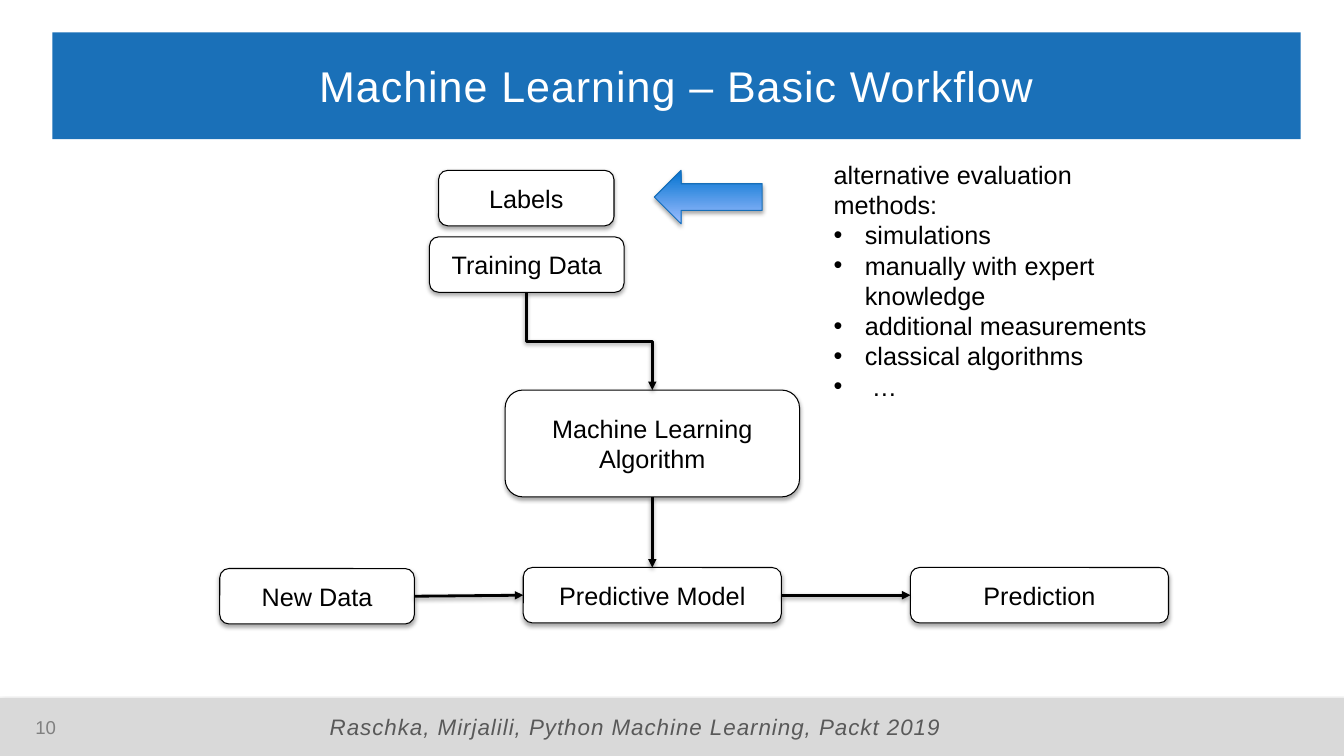
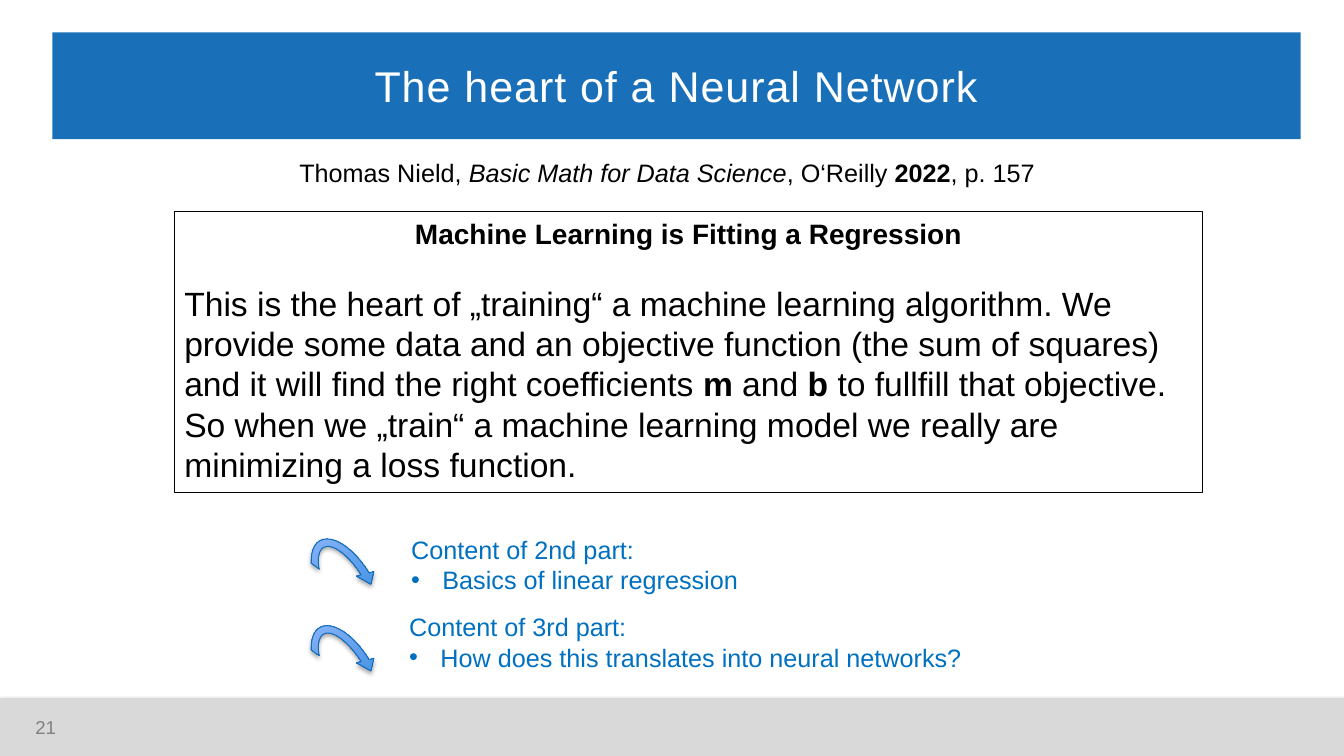
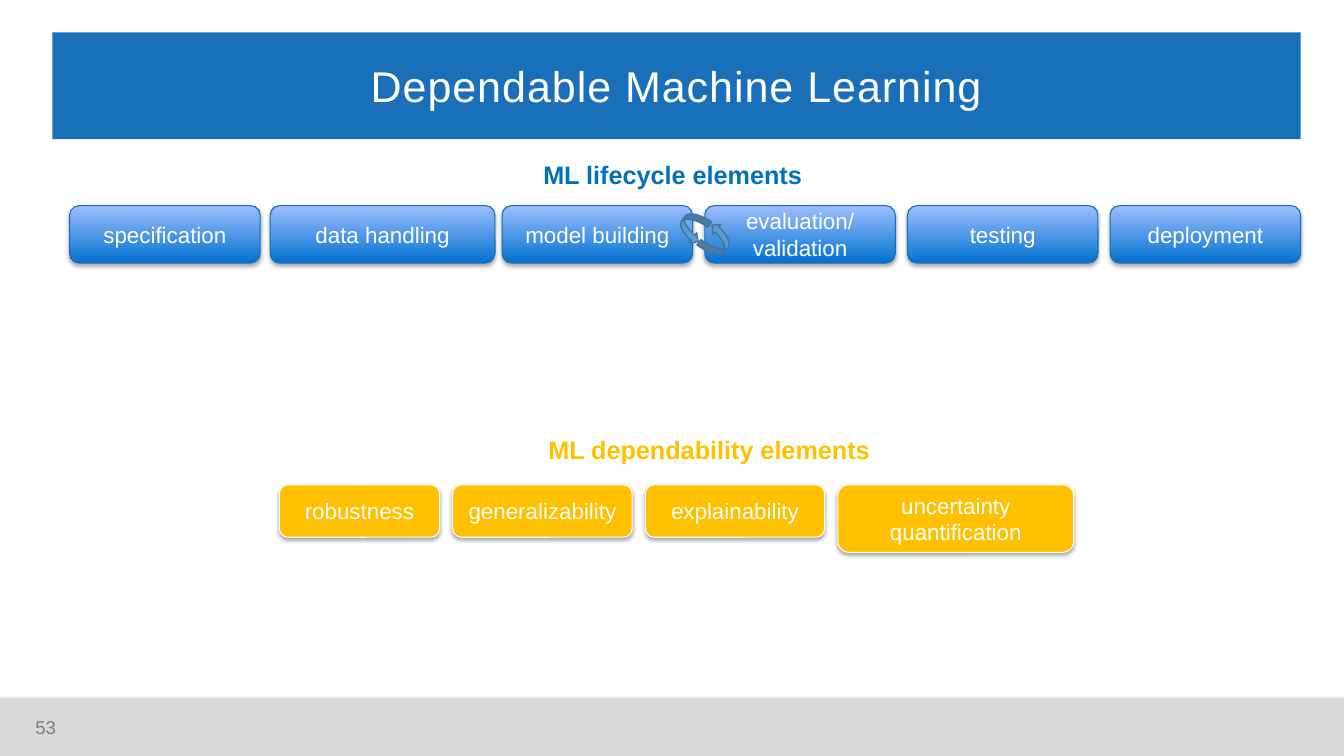
from dataclasses import dataclass
from typing import Optional

from lxml.etree import SubElement
from pptx import Presentation
from pptx.dml.color import RGBColor
from pptx.enum.shapes import MSO_CONNECTOR, MSO_SHAPE
from pptx.enum.text import MSO_ANCHOR, MSO_AUTO_SIZE, PP_ALIGN
from pptx.oxml.ns import qn
from pptx.util import Inches, Pt

FONT = "Arial"
BLACK, WHITE = "000000", "FFFFFF"
TITLE_BLUE, TEXT_BLUE, EDGE_BLUE = "1A70B8", "0070C0", "166EB8"
GRADIENT = ("0272D0", "9DBEFF")
AMBER = "FFC000"
BAND_GREY, NUMBER_GREY, SOURCE_GREY = "D9D9D9", "808080", "595959"
CYCLE_FILL, CYCLE_EDGE = "5B9BD5", "43739E"
TOP, LEFT, BOTTOM, RIGHT = range(4)  # connection sites of a box


@dataclass
class Para:
    """Text as (words, style) spans, where style may hold b and i."""
    spans: list
    bullet: bool = False
    align: Optional[PP_ALIGN] = None
    size: Optional[float] = None
    before: float = 0


def plain(text, **options):
    return Para([(text, "")], **options)


def rgb(code):
    return RGBColor.from_string(code)


def inches(values):
    return [Inches(value) for value in values]


def add_bullet(para):
    properties = para._p.get_or_add_pPr()
    properties.set("marL", str(Inches(0.31)))
    properties.set("indent", str(-Inches(0.31)))
    SubElement(properties, qn("a:buFont"), typeface=FONT)
    SubElement(properties, qn("a:buChar"), char="•")


def write(frame, paras, size, color, spacing=0):
    """Fill a text frame; spacing is the letter spacing in points."""
    frame.word_wrap = True
    for index, content in enumerate(paras):
        para = frame.add_paragraph() if index else frame.paragraphs[0]
        if content.bullet:
            add_bullet(para)
        if content.align is not None:
            para.alignment = content.align
        if content.before:
            para.space_before = Pt(content.before)
        for text, style in content.spans:
            span = para.add_run()
            span.text = text
            font = span.font
            font.name, font.size = FONT, Pt(content.size or size)
            font.color.rgb = rgb(color)
            font.bold, font.italic = "b" in style, "i" in style
            if spacing:
                span._r.get_or_add_rPr().set("spc", str(int(spacing * 100)))


def set_margins(frame, side, end):
    frame.margin_left = frame.margin_right = Inches(side)
    frame.margin_top = frame.margin_bottom = Inches(end)


def add_text(slide, place, paras, size=18, color=BLACK, anchor=MSO_ANCHOR.TOP,
             inset=True, spacing=0):
    box = slide.shapes.add_textbox(*inches(place))
    frame = box.text_frame
    frame.vertical_anchor = anchor
    if not inset:
        set_margins(frame, 0, 0)
    write(frame, paras, size, color, spacing)
    return box


def add_shadow(effects, distance, opacity):
    shadow = SubElement(effects, qn("a:outerShdw"), blurRad="40000",
                        dist=str(distance), dir="5400000", rotWithShape="0")
    color = SubElement(shadow, qn("a:srgbClr"), val=BLACK)
    SubElement(color, qn("a:alpha"), val=str(opacity * 1000))


def add_figure(slide, kind, place, fill, edge, rotation=0, weight=0.75, shadow=True):
    """Add a preset shape; fill is one colour or a pair for a rising gradient."""
    shape = slide.shapes.add_shape(kind, *inches(place))
    shape.rotation = rotation
    if isinstance(fill, tuple):
        shape.fill.gradient()
        shape.fill.gradient_angle = 90
        for stop, color in zip(shape.fill.gradient_stops, fill):
            stop.color.rgb = rgb(color)
    else:
        shape.fill.solid()
        shape.fill.fore_color.rgb = rgb(fill)
    shape.line.color.rgb = rgb(edge)
    shape.line.width = Pt(weight)
    shape.shadow.inherit = False
    if shadow:
        add_shadow(shape._element.spPr.find(qn("a:effectLst")), 23000, 35)
    return shape


def add_box(slide, label, place, fill=WHITE, edge=BLACK, size=18, color=BLACK):
    box = add_figure(slide, MSO_SHAPE.ROUNDED_RECTANGLE, place, fill, edge)
    box.text_frame.vertical_anchor = MSO_ANCHOR.MIDDLE
    paras = [plain(line, align=PP_ALIGN.CENTER) for line in label.split("\n")]
    write(box.text_frame, paras, size, color)
    return box


def add_box_row(slide, left, top, gap, boxes, fill, edge):
    """Set (label, width, height) boxes side by side with equal gaps."""
    for label, width, height in boxes:
        add_box(slide, label, (left, top, width, height), fill, edge, 16, WHITE)
        left += width + gap


def stand_upright(connector):
    """Turn an elbow so that it leaves downwards and arrives downwards."""
    left, top = connector.left, connector.top
    across, down = connector.width, connector.height
    connector.left = left + (across - down) // 2
    connector.top = top + (down - across) // 2
    connector.width, connector.height = down, across
    transform = connector._element.spPr.find(qn("a:xfrm"))
    transform.set("rot", "16200000")
    transform.set("flipH", "1")


def add_arrow(slide, start, start_site, end, end_site, elbow=False):
    kind = MSO_CONNECTOR.ELBOW if elbow else MSO_CONNECTOR.STRAIGHT
    arrow = slide.shapes.add_connector(kind, 0, 0, 0, 0)
    arrow.begin_connect(start, start_site)
    arrow.end_connect(end, end_site)
    if elbow:
        stand_upright(arrow)
    arrow.line.color.rgb = rgb(BLACK)
    arrow.line.width = Pt(2)
    SubElement(arrow.line._get_or_add_ln(), qn("a:tailEnd"), type="triangle")
    add_shadow(SubElement(arrow._element.spPr, qn("a:effectLst")), 20000, 38)


def add_page(deck, title, number):
    """Add a slide with the shared title bar, footer band and page number."""
    slide = deck.slides.add_slide(deck.slide_layouts[5])
    add_figure(slide, MSO_SHAPE.RECTANGLE, (0, 6.93, 13.33, 0.57), BAND_GREY, BAND_GREY)
    bar = slide.shapes.title
    bar.left, bar.top, bar.width, bar.height = inches((0.52, 0.32, 12.38, 1.06))
    bar.fill.solid()
    bar.fill.fore_color.rgb = rgb(TITLE_BLUE)
    frame = bar.text_frame
    frame.auto_size = MSO_AUTO_SIZE.NONE
    frame.vertical_anchor = MSO_ANCHOR.MIDDLE
    set_margins(frame, 0.1, 0.22)
    write(frame, [plain(title, align=PP_ALIGN.CENTER)], 30.7, WHITE, 0.7)
    add_text(slide, (0.35, 7.01, 0.59, 0.4), [plain(str(number))], 13.3,
             NUMBER_GREY, MSO_ANCHOR.MIDDLE, inset=False)
    return slide


def build_workflow(deck):
    slide = add_page(deck, "Machine Learning – Basic Workflow", 10)
    add_box(slide, "Labels", (4.35, 1.69, 1.74, 0.55))
    training = add_box(slide, "Training Data", (4.26, 2.35, 1.93, 0.55))
    algorithm = add_box(slide, "Machine Learning Algorithm", (5.01, 3.87, 2.92, 1.06))
    new_data = add_box(slide, "New Data", (2.18, 5.64, 1.93, 0.55))
    model = add_box(slide, "Predictive Model", (5.19, 5.63, 2.56, 0.55))
    prediction = add_box(slide, "Prediction", (9.03, 5.63, 2.56, 0.55))
    add_arrow(slide, training, BOTTOM, algorithm, TOP, elbow=True)
    add_arrow(slide, algorithm, BOTTOM, model, TOP)
    add_arrow(slide, new_data, RIGHT, model, LEFT)
    add_arrow(slide, model, RIGHT, prediction, LEFT)

    add_figure(slide, MSO_SHAPE.RIGHT_ARROW, (6.49, 1.69, 1.07, 0.53),
               GRADIENT, EDGE_BLUE, rotation=180)
    methods = ("simulations", "manually with expert knowledge",
               "additional measurements", "classical algorithms", " …")
    add_text(slide, (8.17, 1.53, 3.55, 2.52),
             [plain("alternative evaluation methods:")]
             + [plain(method, bullet=True) for method in methods])
    source = [("Raschka, Mirjalili, Python Machine Learning, Packt 2019", "i")]
    add_text(slide, (3.27, 7.07, 6.82, 0.42), [Para(source)], 16, SOURCE_GREY,
             inset=False, spacing=0.7)


def add_part(slide, arrow_top, place, heading, topic):
    arrow = add_figure(slide, MSO_SHAPE.CIRCULAR_ARROW, (3.13, arrow_top, 0.64, 1.23),
                       GRADIENT, EDGE_BLUE, rotation=330.5)
    for index, value in enumerate((0.12, 17.32, 207.74, 147.55, 0.14)):
        arrow.adjustments[index] = value
    add_text(slide, place, [plain(heading), plain(topic, bullet=True)], color=TEXT_BLUE)


def build_heart(deck):
    slide = add_page(deck, "The heart of a Neural Network", 21)
    citation = [("Thomas Nield, ", ""), ("Basic Math for Data Science", "i"),
                (", O‘Reilly ", ""), ("2022", "b"), (", p. 157", "")]
    add_text(slide, (2.87, 1.51, 7.7, 0.4), [Para(citation)])
    quote = [
        ("This is the heart of „training“ a machine learning algorithm. We provide "
         "some data and an objective function (the sum of squares) and it will find "
         "the right coefficients ", ""),
        ("m", "b"), (" and ", ""), ("b ", "b"),
        ("to fullfill that objective. So when we „train“ a machine learning model "
         "we really are minimizing a loss function.", "")]
    heading = [("Machine Learning is Fitting a Regression", "b")]
    box = add_text(slide, (1.73, 2.1, 10.2, 2.79),
                   [Para(heading, align=PP_ALIGN.CENTER, size=20),
                    Para(quote, before=23)], 24)
    box.line.color.rgb = rgb(BLACK)
    box.line.width = Pt(0.75)
    add_part(slide, 5.24, (3.98, 5.25, 6.72, 0.71),
             "Content of 2nd part:", "Basics of linear regression")
    add_part(slide, 6.1, (3.96, 6.02, 6.72, 0.71),
             "Content of 3rd part:", "How does this translates into neural networks?")


def build_dependable(deck):
    slide = add_page(deck, "Dependable Machine Learning", 53)
    add_text(slide, (5.29, 1.53, 3, 0.4),
             [Para([("ML lifecycle elements", "b")])], color=TEXT_BLUE)
    preparation = [("specification", 1.89, 0.57), ("data handling", 2.23, 0.57)]
    add_box_row(slide, 0.69, 2.04, 0.1, preparation, GRADIENT, EDGE_BLUE)
    steps = ("model building", "evaluation/\nvalidation", "testing", "deployment")
    add_box_row(slide, 4.98, 2.04, 0.12, [(step, 1.89, 0.57) for step in steps],
                GRADIENT, EDGE_BLUE)
    cycle = ((MSO_SHAPE.CURVED_RIGHT_ARROW, (6.98, 2.23, 0.26, 0.31), 217.5),
             (MSO_SHAPE.CURVED_UP_ARROW, (6.72, 2.13, 0.3, 0.25), 124.4))
    for kind, place, rotation in cycle:
        add_figure(slide, kind, place, CYCLE_FILL, CYCLE_EDGE, rotation, 1, shadow=False)

    add_text(slide, (5.34, 4.26, 3.6, 0.4),
             [Para([("ML dependability elements", "b")])], color=AMBER)
    qualities = [("robustness", 1.59, 0.52), ("generalizability", 1.78, 0.52),
                 ("explainability", 1.78, 0.52), ("uncertainty quantification", 2.34, 0.67)]
    add_box_row(slide, 2.77, 4.81, 0.13, qualities, AMBER, WHITE)


def main():
    deck = Presentation()
    deck.slide_width, deck.slide_height = inches((13.33, 7.5))
    build_workflow(deck)
    build_heart(deck)
    build_dependable(deck)
    deck.save("out.pptx")


if __name__ == "__main__":
    main()
